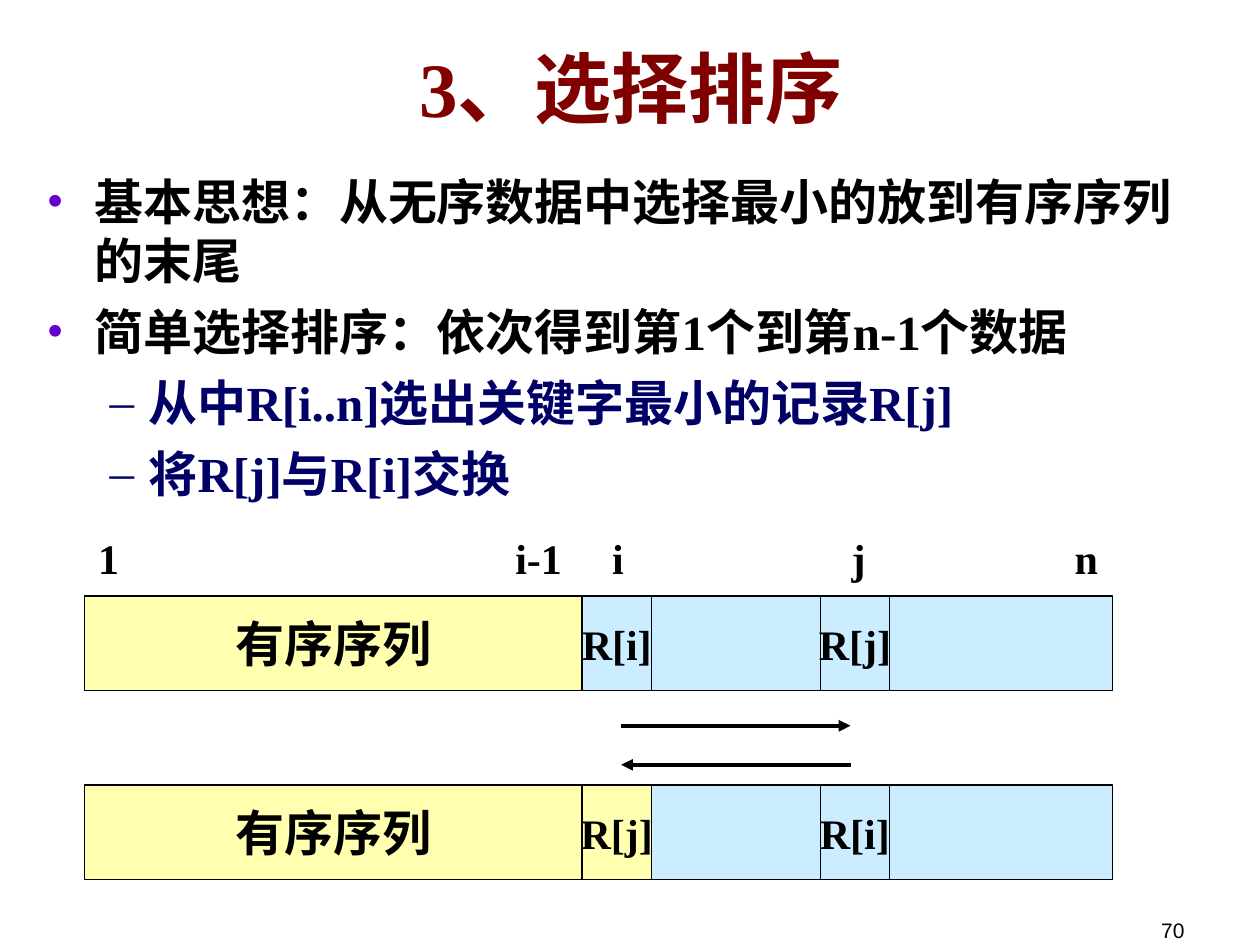
"""Build the slide that explains selection sort."""
from lxml.etree import SubElement
from pptx import Presentation
from pptx.dml.color import RGBColor
from pptx.enum.shapes import MSO_CONNECTOR as CONNECTOR, MSO_SHAPE as SHAPE
from pptx.enum.text import MSO_ANCHOR as ANCHOR, MSO_AUTO_SIZE as AUTO_SIZE, PP_ALIGN as ALIGN
from pptx.oxml.ns import qn
from pptx.util import Inches, Pt

BLACK = RGBColor(0x00, 0x00, 0x00)
MAROON = RGBColor(0x80, 0x00, 0x00)
PURPLE = RGBColor(0x66, 0x00, 0xCC)
NAVY = RGBColor(0x00, 0x00, 0x66)
YELLOW = RGBColor(0xFF, 0xFF, 0xAF)
BLUE = RGBColor(0xCC, 0xEC, 0xFF)

TITLE = "3、选择排序"
BULLETS = [
    (0, "基本思想：从无序数据中选择最小的放到有序序列的末尾"),
    (0, "简单选择排序：依次得到第1个到第n-1个数据"),
    (1, "从中R[i..n]选出关键字最小的记录R[j]"),
    (1, "将R[j]与R[i]交换"),
]
LEVELS = [
    {"mark": "•", "mark_color": PURPLE, "color": BLACK, "margin": 0.38, "indent": -0.38},
    {"mark": "–", "mark_color": NAVY, "color": NAVY, "margin": 0.81, "indent": -0.31},
]
INDEX_LABELS = [
    ("1", 0.68, 0.36), ("i-1", 3.99, 0.57), ("i", 4.76, 0.29), ("j", 6.66, 0.31), ("n", 8.43, 0.38),
]
CELL_EDGES = [0.67, 4.62, 5.17, 6.51, 7.06, 8.83]
CELL_HEIGHT = 0.75
SORTED_TEXT = "有序序列"
ARRAYS = [
    (4.73, [SORTED_TEXT, "R[i]", "", "R[j]", ""], 1),
    (6.23, [SORTED_TEXT, "R[j]", "", "R[i]", ""], 2),
]
ARROWS = [(4.93, 6.75, 5.76), (6.75, 4.93, 6.07)]


def place(shape, left, top, width, height):
    box = {"left": left, "top": top, "width": width, "height": height}
    for name, value in box.items():
        setattr(shape, name, Inches(value))


def write(paragraph, text, size, color=BLACK, font="Times New Roman", bold=True):
    run = paragraph.add_run()
    run.text = text
    for name, value in {"name": font, "size": Pt(size), "bold": bold}.items():
        setattr(run.font, name, value)
    run.font.color.rgb = color


def add_bullet(paragraph, level):
    properties = paragraph._p.get_or_add_pPr()
    properties.set("marL", str(Inches(level["margin"])))
    properties.set("indent", str(Inches(level["indent"])))
    color = SubElement(properties, qn("a:buClr"))
    SubElement(color, qn("a:srgbClr"), val=str(level["mark_color"]))
    SubElement(properties, qn("a:buFont"), typeface="Times New Roman")
    SubElement(properties, qn("a:buChar"), char=level["mark"])


def add_label(slide, text, left, top, width, size=24, align=ALIGN.CENTER, anchor=ANCHOR.TOP, **font):
    label = slide.shapes.add_textbox(Inches(left), Inches(top), Inches(width), Inches(0.5))
    label.text_frame.word_wrap = False
    label.text_frame.vertical_anchor = anchor
    paragraph = label.text_frame.paragraphs[0]
    paragraph.alignment = align
    write(paragraph, text, size, **font)


def add_cell(slide, text, left, top, width, fill):
    cell = slide.shapes.add_shape(
        SHAPE.RECTANGLE, Inches(left), Inches(top), Inches(width), Inches(CELL_HEIGHT))
    cell.shadow.inherit = False
    cell.fill.solid()
    cell.fill.fore_color.rgb = fill
    cell.line.color.rgb = BLACK
    cell.line.width = Pt(0.75)
    if text:
        frame = cell.text_frame
        frame.word_wrap = False
        frame.vertical_anchor = ANCHOR.MIDDLE
        frame.paragraphs[0].alignment = ALIGN.CENTER
        write(frame.paragraphs[0], text, 28 if text == SORTED_TEXT else 24)


def add_arrow(slide, start, end, y):
    arrow = slide.shapes.add_connector(
        CONNECTOR.STRAIGHT, Inches(start), Inches(y), Inches(end), Inches(y))
    arrow.line.color.rgb = BLACK
    arrow.line.width = Pt(2.25)
    SubElement(arrow.line._get_or_add_ln(), qn("a:tailEnd"), type="triangle")
    SubElement(arrow._element.spPr, qn("a:effectLst"))


def fill_placeholders(slide):
    title, body = slide.placeholders
    place(title, 0.51, 0.13, 9, 1.12)
    place(body, 0.27, 1.31, 9.45, 5.67)
    for placeholder, anchor in ((title, ANCHOR.MIDDLE), (body, ANCHOR.TOP)):
        frame = placeholder.text_frame
        for name, value in {
            "word_wrap": True, "auto_size": AUTO_SIZE.NONE, "vertical_anchor": anchor,
        }.items():
            setattr(frame, name, value)
    heading = title.text_frame.paragraphs[0]
    heading.alignment = ALIGN.CENTER
    write(heading, TITLE, 44, MAROON)
    for index, (depth, text) in enumerate(BULLETS):
        frame = body.text_frame
        paragraph = frame.add_paragraph() if index else frame.paragraphs[0]
        paragraph.level = depth
        paragraph.space_before = Pt(7 if index else 0)
        add_bullet(paragraph, LEVELS[depth])
        write(paragraph, text, 28, LEVELS[depth]["color"])


def main():
    presentation = Presentation()
    presentation.slide_width = Inches(10)
    presentation.slide_height = Inches(7.5)
    slide = presentation.slides.add_slide(presentation.slide_layouts[1])
    fill_placeholders(slide)
    for text, left, width in INDEX_LABELS:
        add_label(slide, text, left, 4.18, width)
    for top, texts, sorted_count in ARRAYS:
        for index, text in enumerate(texts):
            left, right = CELL_EDGES[index:index + 2]
            fill = YELLOW if index < sorted_count else BLUE
            add_cell(slide, text, left, top, right - left, fill)
    for start, end, y in ARROWS:
        add_arrow(slide, start, end, y)
    add_label(slide, "70", 7.17, 7.03, 2.33, 12, ALIGN.RIGHT, ANCHOR.BOTTOM, font="Arial", bold=False)
    presentation.save("out.pptx")


if __name__ == "__main__":
    main()
